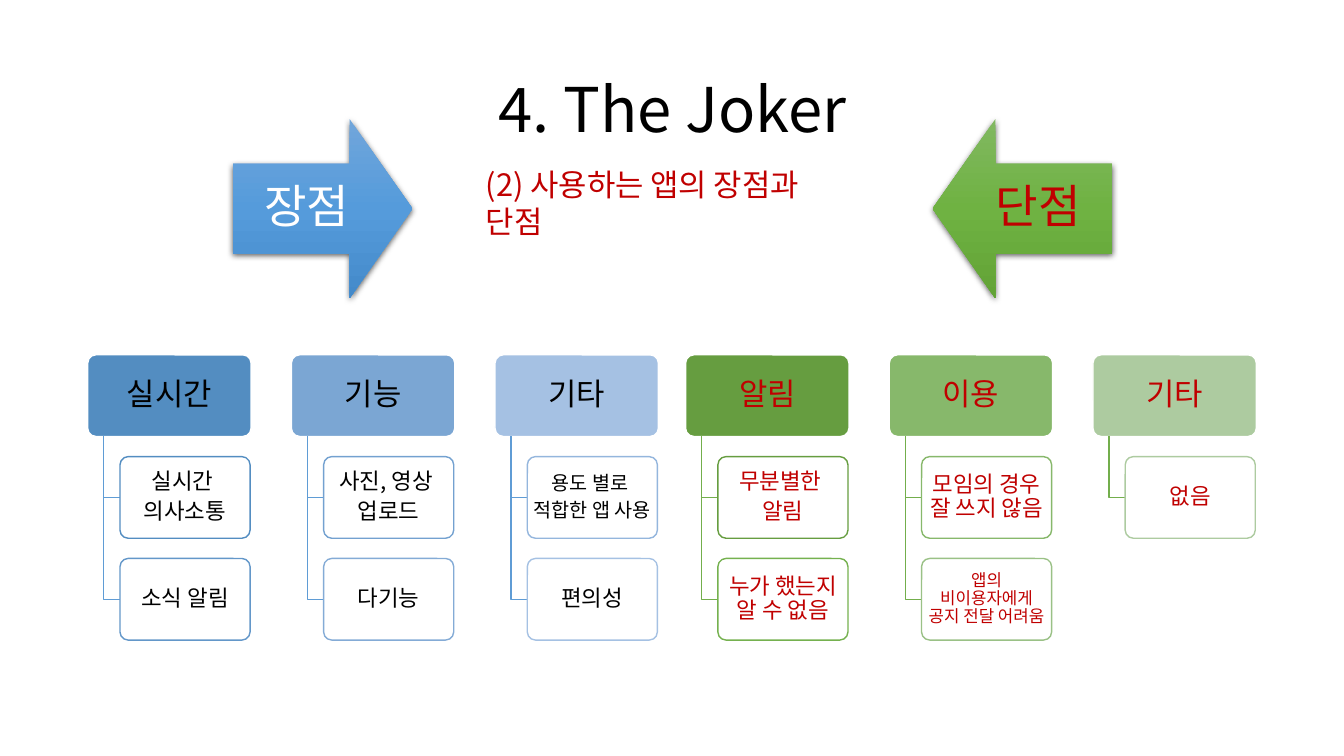
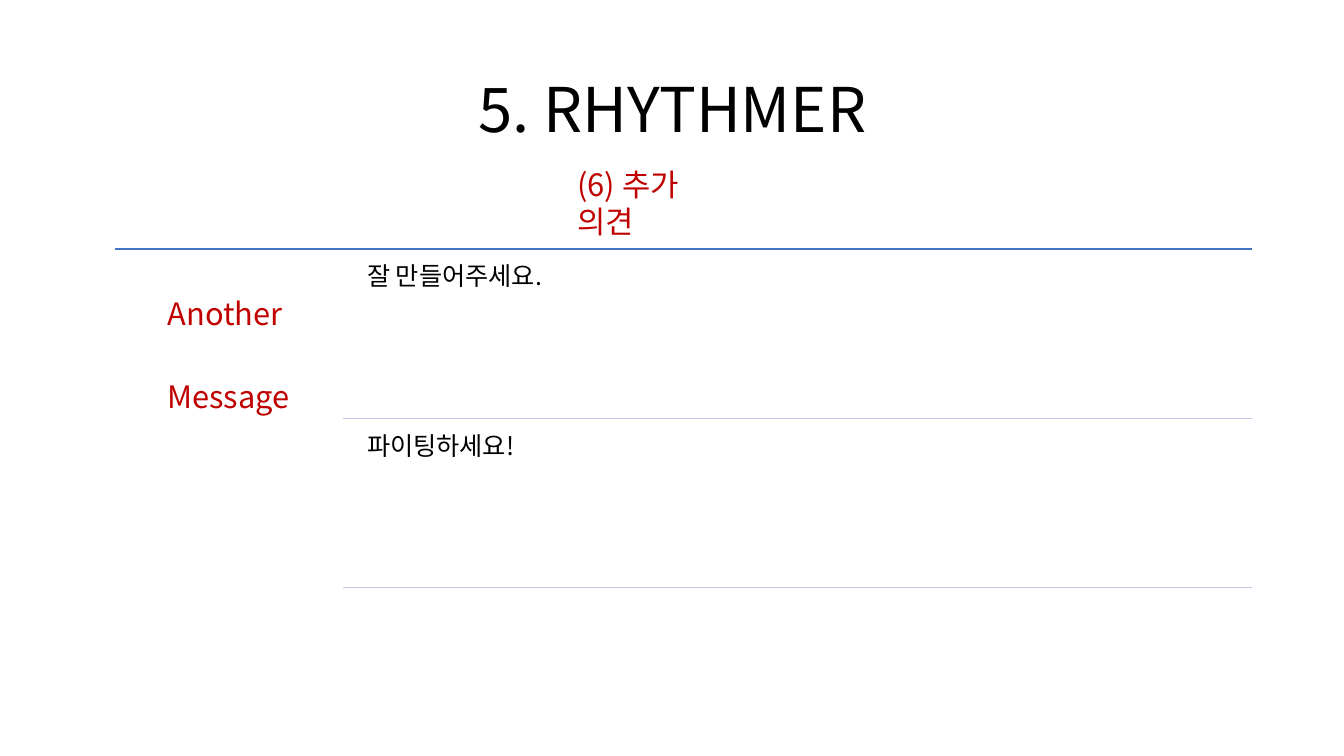
from dataclasses import dataclass

from lxml.etree import SubElement
from pptx import Presentation
from pptx.dml.color import RGBColor
from pptx.enum.shapes import MSO_CONNECTOR, MSO_SHAPE
from pptx.enum.text import MSO_ANCHOR, PP_ALIGN
from pptx.oxml.ns import qn
from pptx.shapes.autoshape import Shape
from pptx.slide import Slide
from pptx.text.text import TextFrame
from pptx.util import Inches, Pt

FONT = "Noto Sans CJK KR"
COLORS = {
    "black": "000000",
    "white": "FFFFFF",
    "red": "C00000",
    "blue_branch": "5F9CD5",
    "green_branch": "73AE4C",
    "top_rule": "4472C4",
    "message_rule": "C1C9E4",
}

BRANCH_TOP = 3.52
BOX_HEIGHT = 0.81
HEADER_WIDTH = 1.62
COLUMN_STEP = 2.02
ROW_STEP = 1.01
TRUNK_INDENT = 0.16
DETAIL_INDENT = 0.32
DETAIL_WIDTH = 1.29


@dataclass(frozen=True)
class Verdict:
    label: str
    direction: MSO_SHAPE
    left: float
    gradient: tuple[str, str, str]
    color: str


@dataclass(frozen=True)
class Detail:
    text: str
    outline: str
    size: int = 16


@dataclass(frozen=True)
class Branch:
    heading: str
    fill: str
    details: tuple[Detail, ...]


@dataclass(frozen=True)
class Family:
    left: float
    line: str
    color: str
    branches: tuple[Branch, ...]


VERDICTS = (
    Verdict("장점", MSO_SHAPE.RIGHT_ARROW, 2.31, ("71A6DB", "559BDB", "448ACA"), COLORS["white"]),
    Verdict("단점", MSO_SHAPE.LEFT_ARROW, 9.25, ("81B861", "6FB242", "62A336"), COLORS["red"]),
)
FAMILIES = (
    Family(0.87, COLORS["blue_branch"], COLORS["black"], (
        Branch("실시간", "538DC1", (
            Detail("실시간 \n의사소통", "538DC1"), Detail("소식 알림", "6397C9"))),
        Branch("기능", "7BA6D3", (
            Detail("사진, 영상 \n업로드", "73A1D0"), Detail("다기능", "84ABD6"))),
        Branch("기타", "A5C1E3", (
            Detail("용도 별로 \n적합한 앱 사용", "94B6DD", 14), Detail("편의성", "A5C1E3"))),
    )),
    Family(6.8, COLORS["green_branch"], COLORS["red"], (
        Branch("알림", "669D40", (
            Detail("무분별한 \n알림", "669D40"), Detail("누가 했는지 알 수 없음", "75B14F"))),
        Branch("이용", "87B86B", (
            Detail("모임의 경우 잘 쓰지 않음", "87B86B"),
            Detail("앱의 비이용자에게 공지 전달 어려움", "9AC186", 12))),
        Branch("기타", "ADCBA0", (Detail("없음", "ADCBA0"),)),
    )),
)
MESSAGES = ("잘 만들어주세요.", "파이팅하세요!")


def rgb(color: str) -> RGBColor:
    return RGBColor.from_string(color)


def write(frame: TextFrame, text: str, *, size: int, color: str = COLORS["black"],
          align: PP_ALIGN = PP_ALIGN.CENTER, anchor: MSO_ANCHOR = MSO_ANCHOR.MIDDLE,
          spacing: float = 0.9, after: float = 0.28,
          inset: tuple[float, float] = (0.1, 0.05)) -> None:
    frame.word_wrap = True
    frame.vertical_anchor = anchor
    frame.margin_left = frame.margin_right = Inches(inset[0])
    frame.margin_top = frame.margin_bottom = Inches(inset[1])
    for index, line in enumerate(text.split("\n")):
        paragraph = frame.add_paragraph() if index else frame.paragraphs[0]
        paragraph.alignment = align
        paragraph.line_spacing = spacing
        paragraph.space_after = Pt(round(size * after, 1))
        run = paragraph.add_run()
        run.text = line
        run.font.size = Pt(size)
        run.font.color.rgb = rgb(color)
        run.font.name = FONT
        SubElement(run.font._element, qn("a:ea"), typeface=FONT)


def add_text(slide: Slide, left: float, top: float, width: float, height: float,
             text: str, **style) -> None:
    box = slide.shapes.add_textbox(Inches(left), Inches(top), Inches(width), Inches(height))
    write(box.text_frame, text, **style)


def add_heading(slide: Slide, title: str, subtitle: str, left: float, width: float) -> None:
    add_text(slide, 0.92, 0.39, 11.5, 1.45, title, size=44, after=0)
    add_text(slide, left, 1.6, width, 0.47, subtitle, size=22, color=COLORS["red"],
             align=PP_ALIGN.LEFT, anchor=MSO_ANCHOR.TOP, spacing=1, after=0)


def add_rule(slide: Slide, left: float, right: float, y: float, color: str) -> None:
    rule = slide.shapes.add_connector(
        MSO_CONNECTOR.STRAIGHT, Inches(left), Inches(y), Inches(right), Inches(y))
    rule.line.color.rgb = rgb(color)
    rule.line.width = Pt(1)
    SubElement(rule._element.spPr, qn("a:effectLst"))


def add_verdict(slide: Slide, verdict: Verdict) -> None:
    arrow = slide.shapes.add_shape(
        verdict.direction, Inches(verdict.left), Inches(1.18), Inches(1.78), Inches(1.78))
    arrow.adjustments[0] = 0.5
    arrow.adjustments[1] = 0.35
    arrow.line.fill.background()
    arrow.fill.gradient()
    arrow.fill.gradient_angle = 270
    properties = arrow._element.spPr
    stops = properties.find(qn("a:gradFill")).find(qn("a:gsLst"))
    for stop in list(stops):
        stops.remove(stop)
    for position, color in zip(("0", "50000", "100000"), verdict.gradient):
        stop = SubElement(stops, qn("a:gs"), pos=position)
        SubElement(stop, qn("a:srgbClr"), val=color)
    arrow.shadow.inherit = False
    shadow = SubElement(properties.find(qn("a:effectLst")), qn("a:outerShdw"),
                        blurRad=str(Pt(4.5)), dist=str(Pt(1.5)), dir="5400000",
                        algn="ctr", rotWithShape="0")
    shade = SubElement(shadow, qn("a:srgbClr"), val=COLORS["black"])
    SubElement(shade, qn("a:alpha"), val="63000")
    write(arrow.text_frame, verdict.label, size=33, color=verdict.color, inset=(0.26, 0.26))


def add_box(slide: Slide, left: float, top: float, width: float,
            fill: str, outline: str) -> Shape:
    box = slide.shapes.add_shape(
        MSO_SHAPE.ROUNDED_RECTANGLE, Inches(left), Inches(top), Inches(width), Inches(BOX_HEIGHT))
    box.adjustments[0] = 0.1
    box.shadow.inherit = False
    box.fill.solid()
    box.fill.fore_color.rgb = rgb(fill)
    box.line.color.rgb = rgb(outline)
    box.line.width = Pt(1)
    return box


def add_elbow(slide: Slide, left: float, top: float, right: float, bottom: float,
              color: str) -> None:
    builder = slide.shapes.build_freeform(Inches(left), Inches(top))
    builder.add_line_segments(
        [(Inches(left), Inches(bottom)), (Inches(right), Inches(bottom))], close=False)
    elbow = builder.convert_to_shape()
    elbow.shadow.inherit = False
    elbow.fill.background()
    elbow.line.color.rgb = rgb(color)
    elbow.line.width = Pt(1)


def add_branch(slide: Slide, branch: Branch, left: float, family: Family) -> None:
    header = add_box(slide, left, BRANCH_TOP, HEADER_WIDTH, branch.fill, COLORS["white"])
    write(header.text_frame, branch.heading, size=22, color=family.color, inset=(0.05, 0.03))
    for row, detail in enumerate(branch.details, start=1):
        top = BRANCH_TOP + row * ROW_STEP
        detail_left = left + DETAIL_INDENT
        add_elbow(slide, left + TRUNK_INDENT, BRANCH_TOP + BOX_HEIGHT,
                  detail_left, top + BOX_HEIGHT / 2, family.line)
        box = add_box(slide, detail_left, top, DETAIL_WIDTH, COLORS["white"], detail.outline)
        write(box.text_frame, detail.text, size=detail.size, color=family.color,
              inset=(0.03, 0.02))


def build_app_comparison(slide: Slide) -> None:
    for verdict in VERDICTS:
        add_verdict(slide, verdict)
    add_heading(slide, "4. The Joker", "(2) 사용하는 앱의 장점과 단점", 4.72, 3.9)
    for family in FAMILIES:
        for column, branch in enumerate(family.branches):
            add_branch(slide, branch, family.left + column * COLUMN_STEP, family)


def build_extra_opinions(slide: Slide) -> None:
    add_heading(slide, "5. RHYTHMER", "(6) 추가 의견", 5.63, 1.82)
    add_rule(slide, 1.14, 12.42, 2.47, COLORS["top_rule"])
    add_text(slide, 1.14, 2.47, 2.25, 3.43, "Another \nMessage", size=22, color=COLORS["red"],
             anchor=MSO_ANCHOR.TOP, spacing=2, inset=(0.09, 0.09))
    for row, message in enumerate(MESSAGES):
        top = 2.55 + row * 1.68
        add_text(slide, 3.57, top, 8.85, 1.59, message, size=18, align=PP_ALIGN.LEFT,
                 anchor=MSO_ANCHOR.TOP, inset=(0.07, 0.07))
        add_rule(slide, 3.4, 12.42, top + 1.6, COLORS["message_rule"])


def main() -> None:
    deck = Presentation()
    deck.slide_width = Inches(13.33)
    deck.slide_height = Inches(7.5)
    for build in (build_app_comparison, build_extra_opinions):
        build(deck.slides.add_slide(deck.slide_layouts[6]))
    deck.save("out.pptx")


if __name__ == "__main__":
    main()
